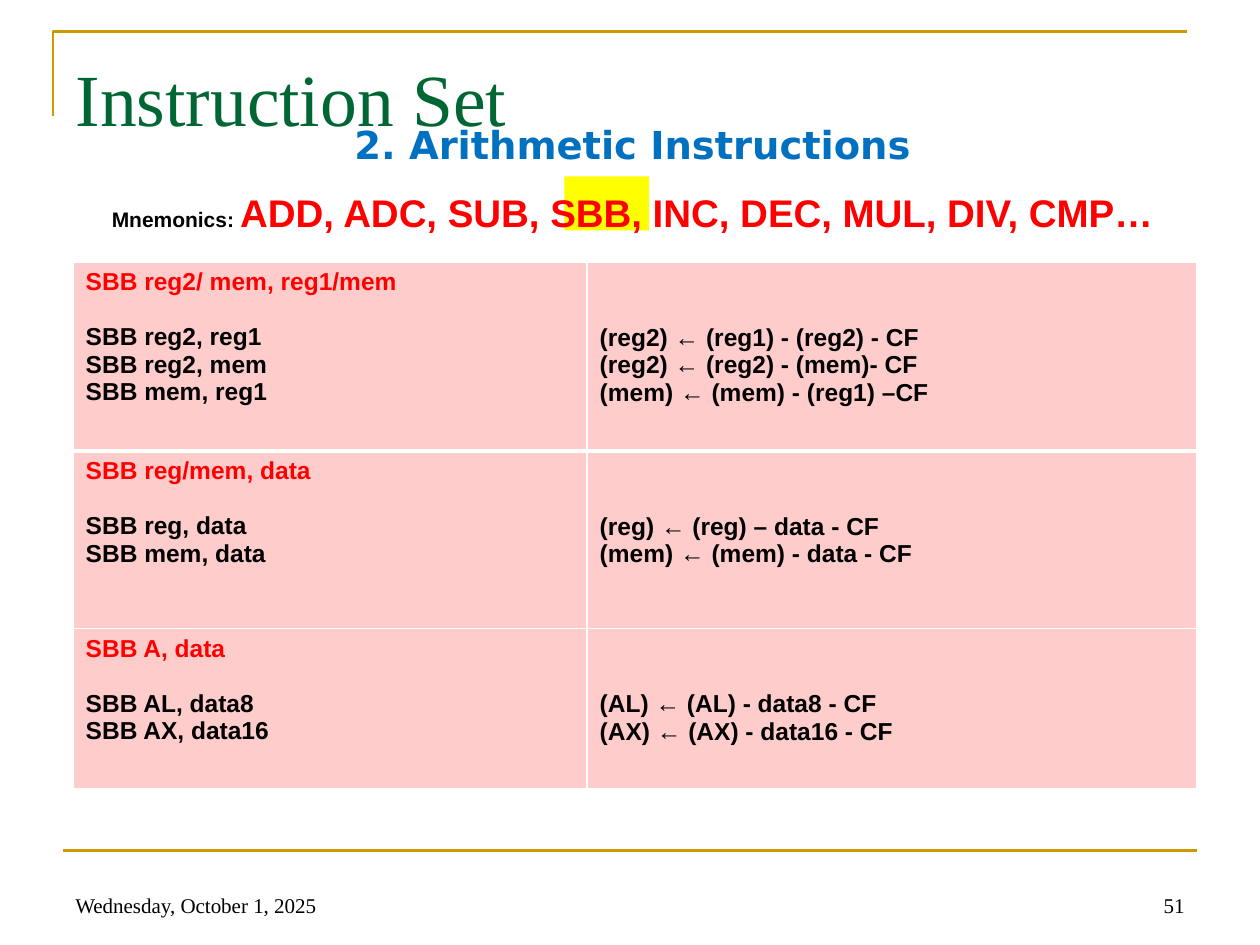
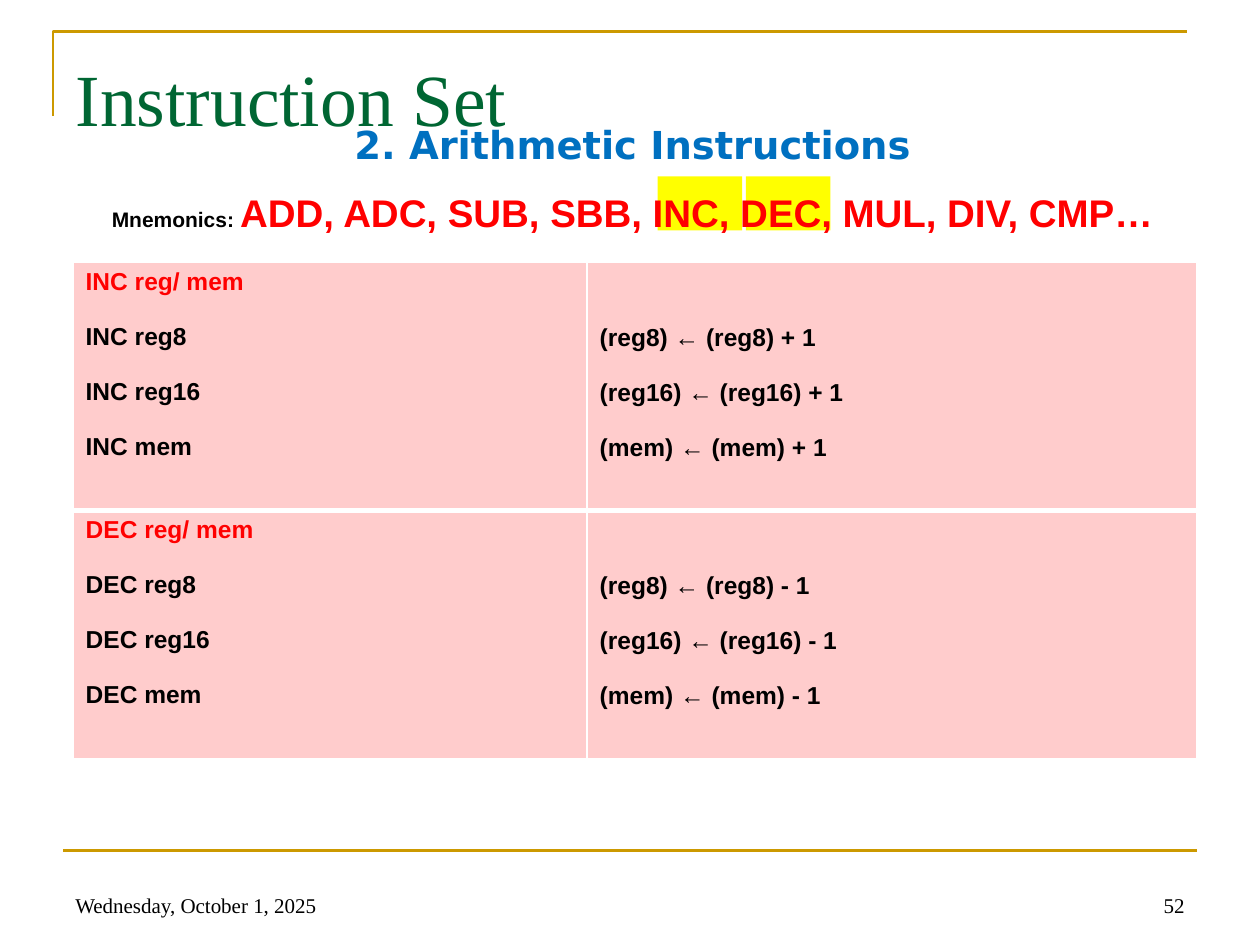
from lxml import etree
from pptx import Presentation, util as u
from pptx.dml.color import RGBColor
from pptx.enum import shapes, text
from pptx.oxml import ns

GOLD, GREEN, BLUE = "CC9900", "006633", "0070C0"
RED, BLACK, PINK, YELLOW, WHITE = "FF0000", "000000", "FFCCCC", "FFFF00", "FFFFFF"
SANS, SERIF, HEAD = "Arial", "Times New Roman", "DejaVu Sans"
LINE = 15.7
PAGE = (0, 0, 10, 7.5)
BAND = (0.29, 0.93, 9.46, 0.9)
GRID = (0.58, 2.08, 8.92)
FOOT = (0.5, 6.75, 9, 0.58)

SLIDES = [
    (51, [4.48], 0, [
        (1.5, ["SBB reg2/ mem, reg1/mem", "SBB reg2, reg1", "SBB reg2, mem", "SBB mem, reg1"],
         ["(reg2) ← (reg1) - (reg2) - CF", "(reg2) ← (reg2) - (mem)- CF",
          "(mem) ← (mem) - (reg1) –CF"]),
        (1.41, ["SBB reg/mem, data", "SBB reg, data", "SBB mem, data"],
         ["(reg) ← (reg) – data - CF", "(mem) ← (mem) - data - CF"]),
        (1.27, ["SBB A, data", "SBB AL, data8", "SBB AX, data16"],
         ["(AL) ← (AL) - data8 - CF", "(AX) ← (AX) - data16 - CF"]),
    ]),
    (52, [5.92, 5.22], LINE, [
        (1.97, ["INC reg/ mem", "INC reg8", "INC reg16", "INC mem"],
         ["(reg8) ← (reg8) + 1", "(reg16) ← (reg16) + 1", "(mem) ← (mem) + 1"]),
        (1.97, ["DEC reg/ mem", "DEC reg8", "DEC reg16", "DEC mem"],
         ["(reg8) ← (reg8) - 1", "(reg16) ← (reg16) - 1", "(mem) ← (mem) - 1"]),
    ]),
]


def tint(hue):
    """Turn a hex string into a colour."""
    return RGBColor.from_string(hue)


def style(run, size, face, hue, bold=False):
    """Format one run."""
    font = run.font
    font.size, font.name, font.bold = u.Pt(size), face, bold
    font.color.rgb = tint(hue)


def write(slide, box, parts, align, anchor=text.MSO_ANCHOR.TOP):
    """Add a text box holding one line of styled parts."""
    frame = slide.shapes.add_textbox(*map(u.Inches, box)).text_frame
    frame.word_wrap, frame.vertical_anchor = True, anchor
    para = frame.paragraphs[0]
    para.alignment = align
    for words, *look in parts:
        run = para.add_run()
        run.text = words
        style(run, *look)
    return frame


def stroke(shape):
    """Give an outline the gold rule style."""
    shape.line.color.rgb = tint(GOLD)
    shape.line.width = u.Pt(1.5)


def corner(slide, box):
    """Draw the angled rule and the slide title."""
    left, top = box[:2]
    x, y = u.Inches(left + 0.42), u.Inches(top + 0.25)
    pen = slide.shapes.build_freeform(x, y + u.Inches(0.67))
    pen.add_line_segments([(x, y), (x + u.Inches(9), y)], close=False)
    rule = pen.convert_to_shape()
    rule.shadow.inherit = False
    rule.fill.background()
    stroke(rule)
    title = slide.shapes.title
    title.left, title.top = u.Inches(left + 0.5), u.Inches(top + 0.3)
    title.width, title.height = u.Inches(9), u.Inches(1.25)
    frame = title.text_frame
    frame.text = "Instruction Set"
    frame.vertical_anchor = text.MSO_ANCHOR.TOP
    frame.margin_top = u.Inches(0.12)
    frame.paragraphs[0].alignment = text.PP_ALIGN.LEFT
    style(frame.paragraphs[0].runs[0], 42, SERIF, GREEN)


def banner(slide, box, marks):
    """Write the section name and the mnemonics over their highlights."""
    left, top, width, _ = box
    for x in marks:
        mark = slide.shapes.add_shape(
            shapes.MSO_SHAPE.RECTANGLE, *map(u.Inches, (x, top + 0.47, 0.67, 0.43)))
        mark.shadow.inherit = False
        mark.fill.solid()
        mark.fill.fore_color.rgb = tint(YELLOW)
        mark.line.fill.background()
    mid = text.PP_ALIGN.CENTER
    write(slide, (left, top, width, 0.43),
          [("2. Arithmetic Instructions", 22, HEAD, BLUE, True)], mid, text.MSO_ANCHOR.MIDDLE)
    names = write(slide, (left, top + 0.49, width, 0.4),
                  [("Mnemonics: ", 12, SANS, BLACK, True),
                   ("ADD, ADC, SUB, SBB, INC, DEC, MUL, DIV, CMP…", 22, SANS, RED, True)], mid)
    names.margin_top = u.Inches(0.08)


def edge(cell, row):
    """Draw white cell borders, thicker below the first row."""
    props = cell._tc.get_or_add_tcPr()
    widths = {"L": 1, "R": 1, "T": 3 if row == 1 else 1, "B": 3 if row == 0 else 1}
    for side, width in widths.items():
        line = etree.SubElement(props, ns.qn(f"a:ln{side}"), w=str(u.Pt(width)))
        fill = etree.SubElement(line, ns.qn("a:solidFill"))
        etree.SubElement(fill, ns.qn("a:srgbClr"), val=WHITE)


def fill_cell(cell, row, lines, gap, headed):
    """Fill a cell, with a red heading or lowered to match one."""
    edge(cell, row)
    cell.fill.solid()
    cell.fill.fore_color.rgb = tint(PINK)
    cell.margin_top = u.Inches(0.05 if headed else 0.49)
    cell.text = "\n".join(lines)
    for n, para in enumerate(cell.text_frame.paragraphs):
        if n:
            para.space_before = u.Pt(LINE if headed and n == 1 else gap)
        style(para.runs[0], 14, SANS, RED if headed and n == 0 else BLACK, True)


def listing(slide, box, rows, gap):
    """Build the table of instructions and their effects."""
    height = sum(row[0] for row in rows)
    table = slide.shapes.add_table(len(rows), 2, *map(u.Inches, (*box, height))).table
    table.first_row = table.horz_banding = False
    table.columns[0].width = u.Inches(4.08)
    table.columns[1].width = u.Inches(box[2] - 4.08)
    for n, (tall, codes, acts) in enumerate(rows):
        table.rows[n].height = u.Inches(tall)
        fill_cell(table.cell(n, 0), n, codes, gap, True)
        fill_cell(table.cell(n, 1), n, acts, gap, False)


def footer(slide, box, number):
    """Draw the bottom rule, date and slide number."""
    left, top, width, _ = box
    rule = slide.shapes.add_connector(
        shapes.MSO_CONNECTOR.STRAIGHT, *map(u.Inches, (left, top, left + width, top)))
    stroke(rule)
    etree.SubElement(rule._element.spPr, ns.qn("a:effectLst"))
    ends = [(left, "Wednesday, October 1, 2025", text.PP_ALIGN.LEFT),
            (left + width - 2.33, str(number), text.PP_ALIGN.RIGHT)]
    for x, words, align in ends:
        write(slide, (x, top + 0.08, 2.33, 0.5), [(words, 12, SERIF, BLACK)],
              align, text.MSO_ANCHOR.BOTTOM)


def main():
    """Build and save the deck."""
    deck = Presentation()
    deck.slide_width, deck.slide_height = u.Inches(PAGE[2]), u.Inches(PAGE[3])
    for number, marks, gap, rows in SLIDES:
        slide = deck.slides.add_slide(deck.slide_layouts[5])
        corner(slide, PAGE)
        banner(slide, BAND, marks)
        listing(slide, GRID, rows, gap)
        footer(slide, FOOT, number)
    deck.save("out.pptx")


if __name__ == "__main__":
    main()
